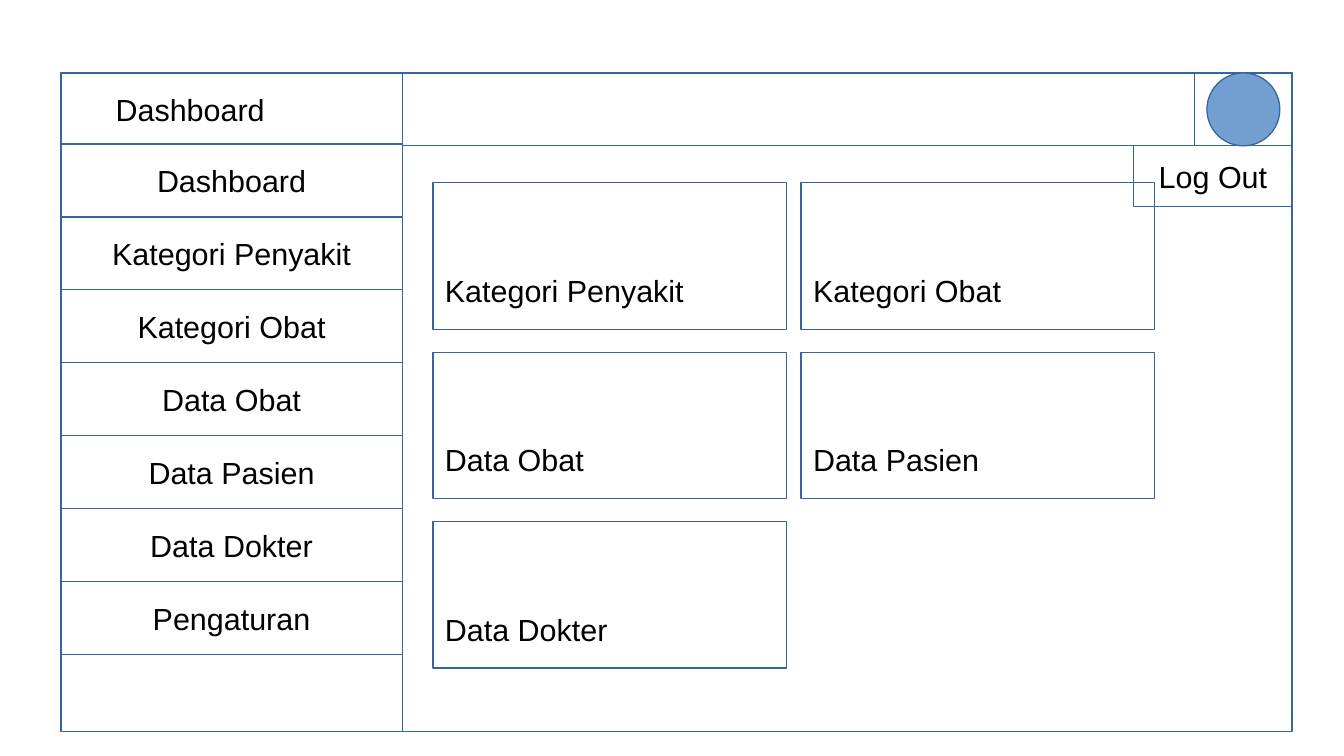
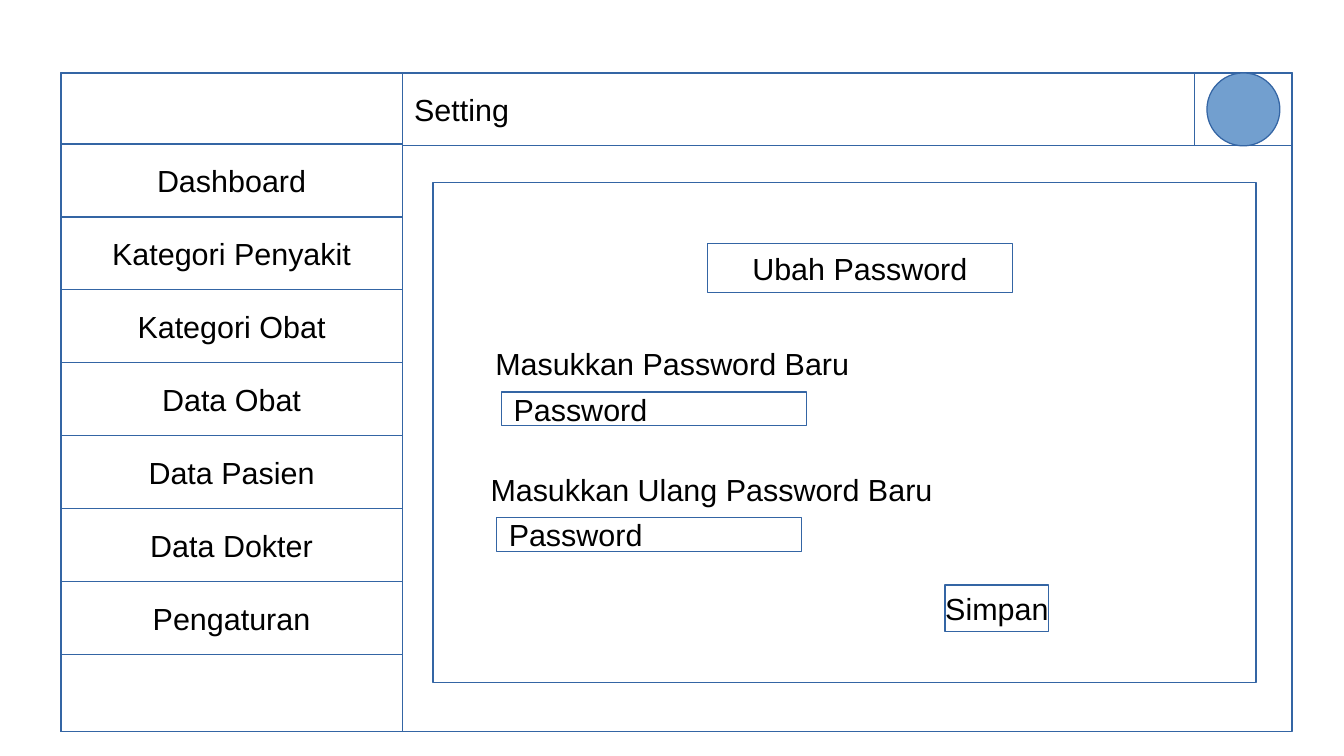
from collections import namedtuple

from pptx import Presentation
from pptx.dml.color import RGBColor
from pptx.enum.shapes import MSO_SHAPE
from pptx.enum.text import MSO_ANCHOR, PP_ALIGN
from pptx.util import Cm, Pt

Box = namedtuple("Box", "left top width height")

LINE = "3465A4"
AVATAR_FILL = "729FCF"
TEXT = "000000"
FONT = "Arial"

FRAME = Box(1.27, 1.52, 25.65, 13.72)
SIDEBAR_WIDTH = 7.11
BAR_HEIGHT = 1.52
MENU_OFFSET = 1.48
MENU = ["Dashboard", "Kategori Penyakit", "Kategori Obat", "Data Obat",
        "Data Pasien", "Data Dokter", "Pengaturan"]
CARDS = ["Kategori Penyakit", "Kategori Obat", "Data Obat", "Data Pasien",
         "Data Dokter"]


def colour(value):
    return RGBColor.from_string(value)


def inside(box, left, top, width, height):
    """Return a box placed relative to the corner of another box."""
    return Box(box.left + left, box.top + top, width, height)


def write(shape, text, align, anchor=MSO_ANCHOR.MIDDLE, bottom=0.13):
    frame = shape.text_frame
    frame.word_wrap = align != PP_ALIGN.CENTER
    frame.vertical_anchor = anchor
    frame.margin_left = frame.margin_right = Cm(0.25)
    frame.margin_top, frame.margin_bottom = Cm(0.13), Cm(bottom)
    paragraph = frame.paragraphs[0]
    paragraph.text = text
    paragraph.alignment = align
    paragraph.font.name = FONT
    paragraph.font.size = Pt(18)
    paragraph.font.color.rgb = colour(TEXT)


def add_outline(slide, box, text="", align=PP_ALIGN.CENTER,
                kind=MSO_SHAPE.RECTANGLE, fill=None, **text_options):
    shape = slide.shapes.add_shape(kind, *map(Cm, box))
    shape.shadow.inherit = False
    shape.line.color.rgb = colour(LINE)
    shape.line.width = Pt(0.75)
    if fill:
        shape.fill.solid()
        shape.fill.fore_color.rgb = colour(fill)
    else:
        shape.fill.background()
    if text:
        write(shape, text, align, **text_options)


def add_label(slide, box, text):
    write(slide.shapes.add_textbox(*map(Cm, box)), text, PP_ALIGN.LEFT)


def add_sidebar(slide, box, heading):
    add_outline(slide, box)
    if heading:
        add_label(slide, inside(box, 0.89, 0, box.width - 0.89, BAR_HEIGHT),
                  heading)
    for index, entry in enumerate(MENU):
        top = MENU_OFFSET + index * BAR_HEIGHT
        add_outline(slide, inside(box, 0, top, box.width, BAR_HEIGHT), entry)


def add_header(slide, box, title):
    """Draw the top bar with the avatar cell at its right end."""
    add_outline(slide, box, title, PP_ALIGN.LEFT)
    cell_width = 2.03
    cell = inside(box, box.width - cell_width, 0, cell_width, box.height)
    add_outline(slide, cell)
    margin = (cell_width - box.height) / 2
    add_outline(slide, inside(cell, margin, 0, box.height, box.height),
                kind=MSO_SHAPE.OVAL, fill=AVATAR_FILL)


def add_page(presentation, heading="", title=""):
    """Add a slide with the shared layout and return it with its content box."""
    slide = presentation.slides.add_slide(presentation.slide_layouts[6])
    add_outline(slide, FRAME)
    add_sidebar(slide, FRAME._replace(width=SIDEBAR_WIDTH), heading)
    main_width = FRAME.width - SIDEBAR_WIDTH
    add_header(slide, inside(FRAME, SIDEBAR_WIDTH, 0, main_width, BAR_HEIGHT),
               title)
    content = inside(FRAME, SIDEBAR_WIDTH, BAR_HEIGHT, main_width,
                     FRAME.height - BAR_HEIGHT)
    return slide, content


def add_cards(slide, box):
    for index, name in enumerate(CARDS):
        row, column = divmod(index, 2)
        card = inside(box, column * 7.67, row * 3.53, 7.37, 3.05)
        add_outline(slide, card, name, PP_ALIGN.LEFT,
                    anchor=MSO_ANCHOR.BOTTOM, bottom=0.43)


def add_password_entry(slide, box, prompt):
    add_label(slide, box._replace(height=1.02), prompt)
    add_outline(slide, inside(box, 0.38, 1.11, 6.35, 0.7), "Password",
                PP_ALIGN.LEFT)


def add_password_form(slide, box):
    add_outline(slide, box)
    add_outline(slide, inside(box, 5.72, 1.27, 6.35, 1.02), "Ubah Password")
    add_password_entry(slide, inside(box, 1.05, 3.25, 10, 1.81),
                       "Masukkan Password Baru")
    add_password_entry(slide, inside(box, 0.95, 5.87, 10, 1.81),
                       "Masukkan Ulang Password Baru")
    add_outline(slide, inside(box, 10.67, 8.38, 2.16, 0.97), "Simpan")


def build_dashboard(presentation):
    slide, content = add_page(presentation, heading="Dashboard")
    add_cards(slide, inside(content, 0.64, 0.77, 15.04, 10.11))
    log_out_width = 3.3
    add_outline(slide, inside(content, content.width - log_out_width, 0,
                              log_out_width, 1.27), "Log Out")


def build_setting(presentation):
    slide, content = add_page(presentation, title="Setting")
    add_password_form(slide, inside(content, 0.64, 0.77, 17.15, 10.41))


def main():
    presentation = Presentation()
    presentation.slide_width = Cm(28)
    presentation.slide_height = Cm(15.75)
    build_dashboard(presentation)
    build_setting(presentation)
    presentation.save("out.pptx")


if __name__ == "__main__":
    main()
